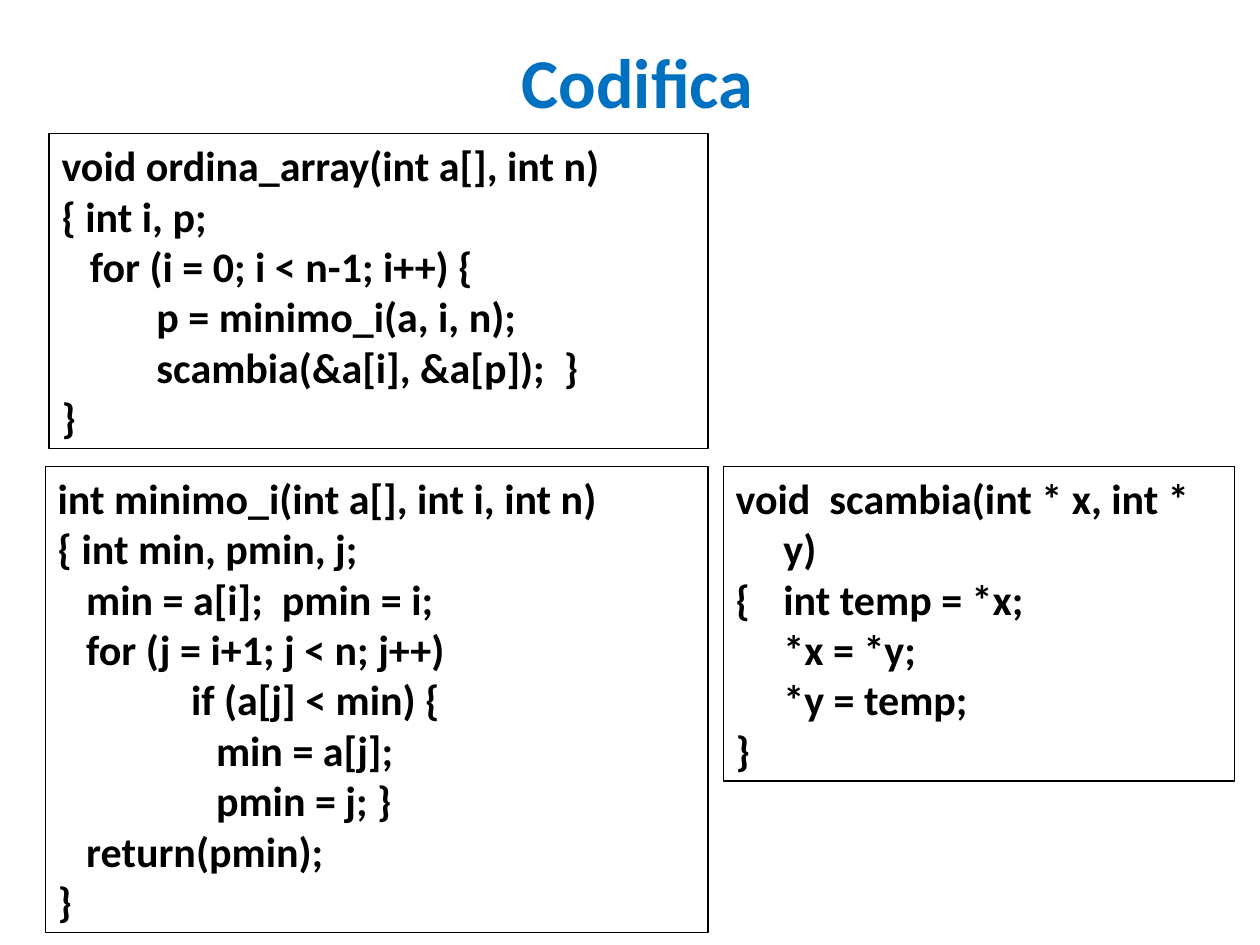
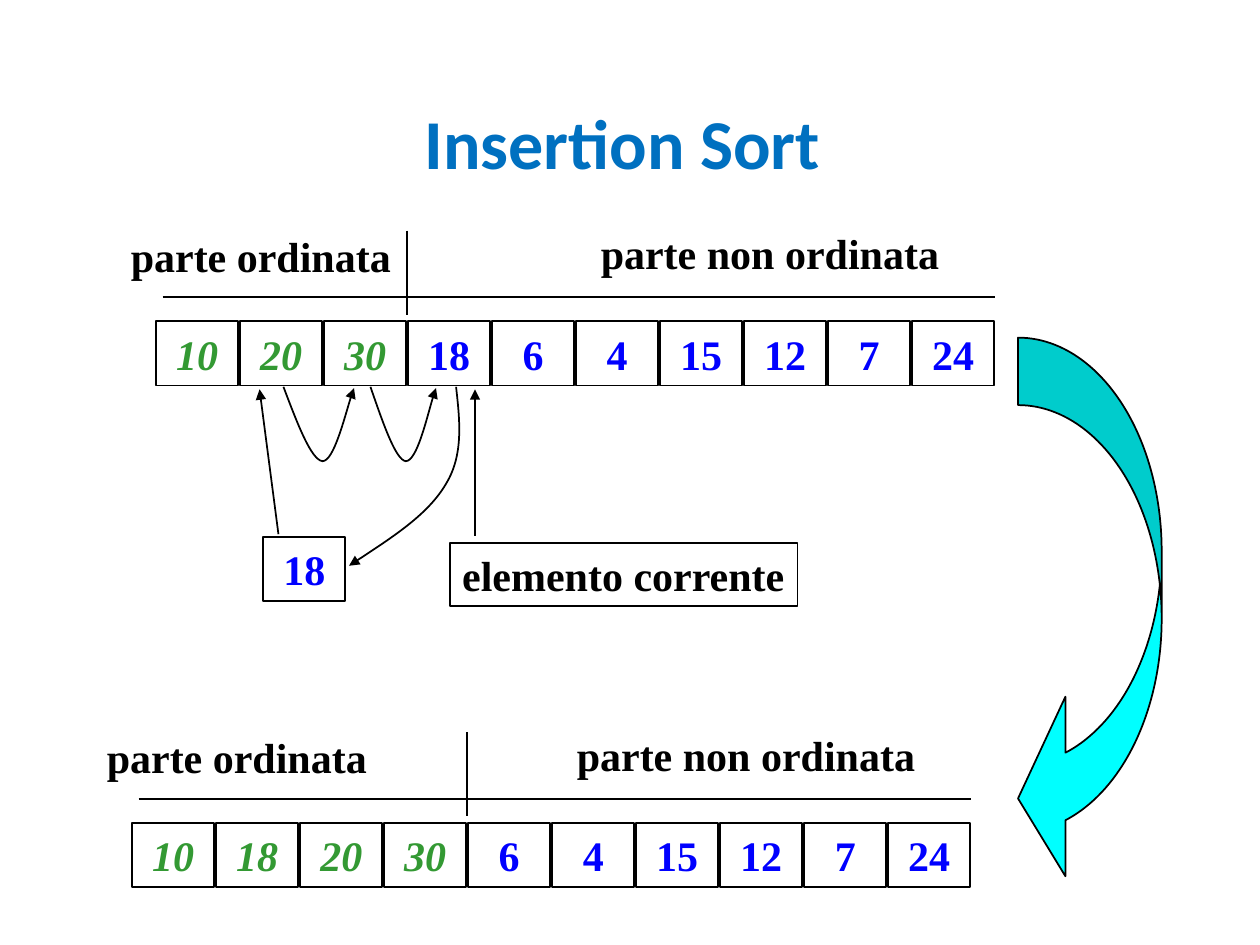
from dataclasses import dataclass

from lxml.etree import SubElement
from pptx import Presentation
from pptx.dml.color import RGBColor
from pptx.enum.shapes import MSO_CONNECTOR, MSO_SHAPE
from pptx.enum.text import MSO_ANCHOR, MSO_AUTO_SIZE, PP_ALIGN
from pptx.oxml.ns import qn
from pptx.util import Inches, Pt

# Shared style
COLORS = {"title": "0070C0", "ink": "000000", "sorted": "339933",
          "unsorted": "0000FF", "arrow": "00FFFF"}
TITLE_FONT = {"name": "Calibri", "size": Pt(40), "bold": True}
CODE_FONT = {"name": "Calibri", "size": Pt(24), "bold": True}
LABEL_FONT = {"name": "Times New Roman", "size": Pt(24), "bold": True}
SORTED_FONT = {**LABEL_FONT, "italic": True}
GROWING_FRAME = {"auto_size": MSO_AUTO_SIZE.SHAPE_TO_FIT_TEXT,
                 "vertical_anchor": MSO_ANCHOR.TOP}
CELL_FRAME = {"word_wrap": False, "vertical_anchor": MSO_ANCHOR.MIDDLE}
TITLE_SIZE = (8.62, 0.88)
CELL_SIZE = (0.65, 0.51)
CELL_PITCH = 2 / 3
CODE_INDENT = 0.38


@dataclass
class CodeBox:
    left: float
    top: float
    width: float
    height: float
    lines: tuple[str, ...]


@dataclass
class ArrayRow:
    left: float
    top: float
    values: tuple[int, ...]
    sorted_count: int


@dataclass
class Curve:
    """A start point followed by three points for each cubic segment."""
    points: tuple[tuple[float, float], ...]


CODE_BOXES = (
    CodeBox(0.39, 1.06, 5.23, 2.5, (
        "void ordina_array(int a[], int n)",
        "{ int i, p;",
        "   for (i = 0; i < n-1; i++) {",
        "          p = minimo_i(a, i, n);",
        "          scambia(&a[i], &a[p]);  }",
        "}")),
    CodeBox(0.36, 3.7, 5.26, 3.7, (
        "int minimo_i(int a[], int i, int n)",
        "{ int min, pmin, j;",
        "   min = a[i];  pmin = i;",
        "   for (j = i+1; j < n; j++)",
        " \t         if (a[j] < min) {",
        "\t\t     min = a[j];",
        "\t\t     pmin = j; }",
        "   return(pmin);",
        "}")),
    CodeBox(5.74, 3.7, 4.06, 2.5, (
        "void  scambia(int * x, int * y)",
        "{\tint temp = *x;",
        "  \t*x = *y;",
        " \t*y = temp;",
        "}")),
)

ARRAY_ROWS = (
    ArrayRow(1.24, 2.55, (10, 20, 30, 18, 6, 4, 15, 12, 7, 24), 3),
    ArrayRow(1.05, 6.53, (10, 18, 20, 30, 6, 4, 15, 12, 7, 24), 4),
)

CURVES = (
    Curve(((2.94, 3.07), (3.04, 3.36), (3.14, 3.65), (3.22, 3.66),
           (3.31, 3.66), (3.42, 3.18), (3.46, 3.08))),
    Curve(((2.25, 3.07), (2.36, 3.36), (2.47, 3.65), (2.56, 3.66),
           (2.65, 3.66), (2.77, 3.18), (2.81, 3.08))),
    Curve(((3.62, 3.07), (3.65, 3.34), (3.68, 3.61), (3.54, 3.84),
           (3.4, 4.08), (3.09, 4.28), (2.77, 4.49))),
)


def set_attributes(target, values: dict) -> None:
    for name, value in values.items():
        setattr(target, name, value)


def add_run(paragraph, text: str, font: dict, color: str) -> None:
    run = paragraph.add_run()
    run.text = text
    set_attributes(run.font, font)
    run.font.color.rgb = RGBColor.from_string(COLORS[color])


def style_line(shape, width: float = 1) -> None:
    shape.line.color.rgb = RGBColor.from_string(COLORS["ink"])
    shape.line.width = Pt(width)


def add_arrowhead(shape) -> None:
    SubElement(shape.line._get_or_add_ln(), qn("a:tailEnd"), type="triangle")


def add_titled_slide(presentation, title: str, left: float, top: float):
    slide = presentation.slides.add_slide(presentation.slide_layouts[5])
    shape = slide.shapes.title
    width, height = TITLE_SIZE
    set_attributes(shape, {"left": Inches(left), "top": Inches(top),
                           "width": Inches(width), "height": Inches(height)})
    shape.text_frame.vertical_anchor = MSO_ANCHOR.MIDDLE
    paragraph = shape.text_frame.paragraphs[0]
    paragraph.alignment = PP_ALIGN.CENTER
    add_run(paragraph, title, TITLE_FONT, "title")
    return slide


def add_box(slide, left: float, top: float, width: float, height: float,
            line_width: float = 1):
    box = slide.shapes.add_shape(MSO_SHAPE.RECTANGLE, Inches(left), Inches(top),
                                 Inches(width), Inches(height))
    box.shadow.inherit = False
    box.fill.background()
    style_line(box, line_width)
    return box


def add_code_box(slide, code: CodeBox) -> None:
    box = add_box(slide, code.left, code.top, code.width, code.height, 0.75)
    frame = box.text_frame
    set_attributes(frame, {**GROWING_FRAME, "word_wrap": True})
    for index, line in enumerate(code.lines):
        paragraph = frame.add_paragraph() if index else frame.paragraphs[0]
        paragraph.alignment = PP_ALIGN.LEFT
        # Hanging indent, then a tab stop at every inch after it
        properties = paragraph._p.get_or_add_pPr()
        properties.set("marL", str(Inches(CODE_INDENT)))
        properties.set("indent", str(-Inches(CODE_INDENT)))
        tabs = SubElement(properties, qn("a:tabLst"))
        for inch in range(8):
            SubElement(tabs, qn("a:tab"), pos=str(Inches(CODE_INDENT + inch)),
                       algn="l")
        add_run(paragraph, line, CODE_FONT, "ink")


def add_cell(slide, left: float, top: float, value: int,
             is_sorted: bool = False) -> None:
    cell = add_box(slide, left, top, *CELL_SIZE)
    set_attributes(cell.text_frame, CELL_FRAME)
    paragraph = cell.text_frame.paragraphs[0]
    paragraph.alignment = PP_ALIGN.CENTER
    add_run(paragraph, str(value), SORTED_FONT if is_sorted else LABEL_FONT,
            "sorted" if is_sorted else "unsorted")


def write_label(shape, text: str, wraps: bool) -> None:
    set_attributes(shape.text_frame, {**GROWING_FRAME, "word_wrap": wraps})
    paragraph = shape.text_frame.paragraphs[0]
    paragraph.alignment = PP_ALIGN.LEFT
    add_run(paragraph, text, LABEL_FONT, "ink")


def add_label(slide, text: str, left: float, top: float, width: float) -> None:
    textbox = slide.shapes.add_textbox(Inches(left), Inches(top),
                                       Inches(width), Inches(0.5))
    write_label(textbox, text, wraps=True)


def add_line(slide, start: tuple[float, float], end: tuple[float, float],
             has_arrow: bool = False) -> None:
    points = [Inches(value) for value in (*start, *end)]
    line = slide.shapes.add_connector(MSO_CONNECTOR.STRAIGHT, *points)
    style_line(line)
    if has_arrow:
        add_arrowhead(line)
    SubElement(line._element.spPr, qn("a:effectLst"))


def add_array_row(slide, row: ArrayRow) -> None:
    for index, value in enumerate(row.values):
        add_cell(slide, row.left + index * CELL_PITCH, row.top, value,
                 index < row.sorted_count)
    # Rule, divider and the names of the two parts
    rule_y = row.top - 0.19
    divider_x = row.left + row.sorted_count * CELL_PITCH - 0.01
    add_line(slide, (row.left + 0.05, rule_y), (row.left + 6.66, rule_y))
    add_line(slide, (divider_x, row.top - 0.72), (divider_x, row.top - 0.05))
    add_label(slide, "parte ordinata", row.left - 0.3, row.top - 0.77, 2.4)
    add_label(slide, "parte non ordinata", row.left + 3.43, row.top - 0.79, 3)


def add_curve(slide, curve: Curve) -> None:
    start, *others = [(Inches(x), Inches(y)) for x, y in curve.points]
    builder = slide.shapes.build_freeform(*start)
    builder.add_line_segments(others, close=False)
    shape = builder.convert_to_shape()
    shape.shadow.inherit = False
    shape.fill.background()
    style_line(shape)
    add_arrowhead(shape)
    # Join every three straight segments into one cubic segment
    segments = shape._element.xpath(".//a:lnTo")
    outline = segments[0].getparent()
    for index, segment in enumerate(segments):
        if index % 3 == 0:
            cubic = SubElement(outline, qn("a:cubicBezTo"))
        cubic.append(segment[0])
        outline.remove(segment)


def add_step_arrow(slide) -> None:
    arrow = slide.shapes.add_shape(MSO_SHAPE.CURVED_LEFT_ARROW, Inches(8.08),
                                   Inches(2.68), Inches(1.14), Inches(4.37))
    arrow.shadow.inherit = False
    arrow.fill.solid()
    arrow.fill.fore_color.rgb = RGBColor.from_string(COLORS["arrow"])
    style_line(arrow)
    for index, ratio in enumerate((0.47, 1.25, 0.33)):
        arrow.adjustments[index] = ratio


def build_code_slide(presentation) -> None:
    slide = add_titled_slide(presentation, "Codifica", 0.75, 0.2)
    for code in CODE_BOXES:
        add_code_box(slide, code)


def build_insertion_slide(presentation) -> None:
    slide = add_titled_slide(presentation, "Insertion Sort", 0.63, 0.68)
    for row in ARRAY_ROWS:
        add_array_row(slide, row)

    # Current element and the moves that insert it
    add_line(slide, (3.77, 4.25), (3.77, 3.09), has_arrow=True)
    write_label(add_box(slide, 3.57, 4.31, 2.76, 0.5), "elemento corrente",
                wraps=False)
    add_cell(slide, 2.09, 4.26, 18)
    add_line(slide, (2.21, 4.24), (2.06, 3.09), has_arrow=True)
    for curve in CURVES:
        add_curve(slide, curve)
    add_step_arrow(slide)


def main() -> None:
    presentation = Presentation()
    presentation.slide_width = Inches(10)
    presentation.slide_height = Inches(7.5)
    build_code_slide(presentation)
    build_insertion_slide(presentation)
    presentation.save("out.pptx")


if __name__ == "__main__":
    main()
